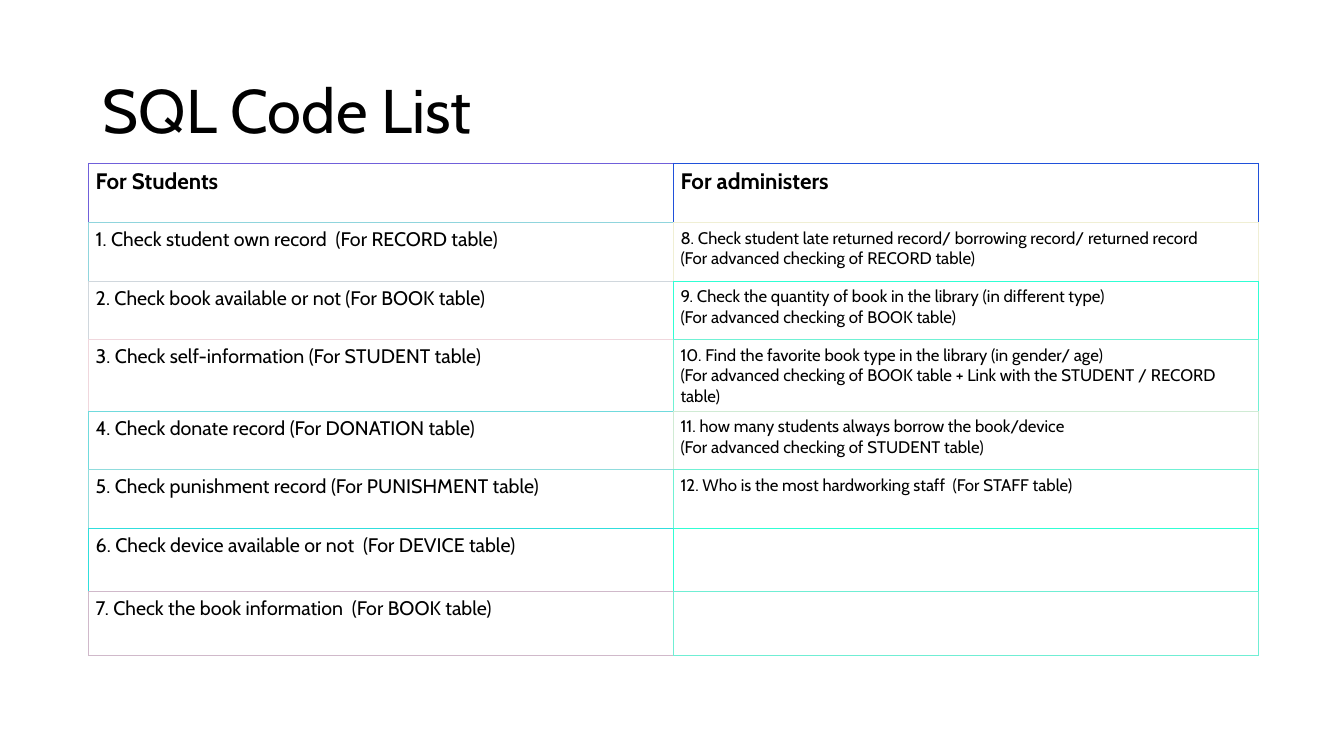
from dataclasses import dataclass

from lxml.etree import SubElement
from pptx import Presentation
from pptx.dml.color import RGBColor
from pptx.enum.text import MSO_ANCHOR, MSO_AUTO_SIZE, PP_ALIGN
from pptx.oxml.ns import qn
from pptx.table import _Cell as Cell
from pptx.text.text import _Paragraph as Paragraph
from pptx.util import Inches, Pt

FONT = "Cabin"
BLACK = "000000"
COLUMN_WIDTH = 5.8
ROW_HEIGHTS = [0.59] + [0.58] * 5 + [0.63] * 2
BORDER_WIDTH = Pt(0.75)


@dataclass(frozen=True)
class Entry:
    """A table cell: its lines of text and the colour of its borders."""
    border: str
    lines: tuple[str, ...] = ()
    size: int = 14
    bold: bool = False


STUDENTS = [
    Entry("7060DA", ("For Students",), 16, True),
    Entry("90D5DD", ("1. Check student own record  (For RECORD table)",)),
    Entry("D0D7DD", ("2. Check book available or not (For BOOK table)",)),
    Entry("F0D7DD", ("3. Check self-information (For STUDENT table)",)),
    Entry("70DADD", ("4. Check donate record (For DONATION table)",)),
    Entry("90DCDD", ("5. Check punishment record (For PUNISHMENT table)",)),
    Entry("30DEDD", ("6. Check device available or not  (For DEVICE table)",)),
    Entry("D0B9CA", ("7. Check the book information  (For BOOK table)",)),
]
ADMINISTERS = [
    Entry("2051DA", ("For administers",), 16, True),
    Entry("F0EFD4", (
        "8. Check student late returned record/ borrowing record/ returned record",
        "(For advanced checking of RECORD table)"), 12),
    Entry("30FED4", (
        "9. Check the quantity of book in the library (in different type)",
        "(For advanced checking of BOOK table)"), 12),
    Entry("70F1D4", (
        "10. Find the favorite book type in the library (in gender/ age)",
        "(For advanced checking of BOOK table + Link with the STUDENT / RECORD table)"), 12),
    Entry("D0EBD4", (
        "11. how many students always borrow the book/device",
        "(For advanced checking of STUDENT table)"), 12),
    Entry("70F1D4", ("12. Who is the most hardworking staff  (For STAFF table)",), 12),
    Entry("30FED4"),
    Entry("70EED4"),
]


def color(code: str) -> RGBColor:
    return RGBColor.from_string(code)


def add_run(paragraph: Paragraph, text: str, size: int, bold: bool = False) -> None:
    run = paragraph.add_run()
    run.text = text
    run.font.name = FONT
    run.font.size = Pt(size)
    run.font.bold = bold
    run.font.color.rgb = color(BLACK)


def set_borders(cell: Cell, own: str, right: str, below: str) -> None:
    """Colour the left and top edges alike, the others to suit the neighbours."""
    properties = cell._tc.get_or_add_tcPr()
    edges = {"a:lnL": own, "a:lnR": right, "a:lnT": own, "a:lnB": below}
    for position, (tag, code) in enumerate(edges.items()):
        line = SubElement(properties, qn(tag), w=str(BORDER_WIDTH))
        SubElement(SubElement(line, qn("a:solidFill")), qn("a:srgbClr"), val=code)
        properties.insert(position, line)


def fill_cell(cell: Cell, entry: Entry) -> None:
    cell.fill.background()
    cell.margin_left = cell.margin_right = Inches(0.07)
    cell.margin_top = cell.margin_bottom = Inches(0.05)
    frame = cell.text_frame
    for index, line in enumerate(entry.lines):
        paragraph = frame.add_paragraph() if index else frame.paragraphs[0]
        add_run(paragraph, line, entry.size, entry.bold)


def main() -> None:
    deck = Presentation()
    deck.slide_width, deck.slide_height = Inches(13.33), Inches(7.5)
    slide = deck.slides.add_slide(deck.slide_layouts[5])

    heading = slide.shapes.title
    heading.left, heading.top = Inches(0.92), Inches(0.4)
    heading.width, heading.height = Inches(11.5), Inches(1.45)
    heading.text_frame.vertical_anchor = MSO_ANCHOR.MIDDLE
    heading.text_frame.auto_size = MSO_AUTO_SIZE.NONE
    heading_line = heading.text_frame.paragraphs[0]
    heading_line.alignment = PP_ALIGN.LEFT
    heading_line.line_spacing = 0.9
    add_run(heading_line, "SQL Code List", 44)

    entries = list(zip(STUDENTS, ADMINISTERS))
    code_list = slide.shapes.add_table(
        len(entries), 2, Inches(0.88), Inches(1.62),
        Inches(2 * COLUMN_WIDTH), Inches(sum(ROW_HEIGHTS))).table
    code_list.first_row = code_list.horz_banding = False
    for column in code_list.columns:
        column.width = Inches(COLUMN_WIDTH)
    for row, height in zip(code_list.rows, ROW_HEIGHTS):
        row.height = Inches(height)

    for r, pair in enumerate(entries):
        next_pair = entries[min(r + 1, len(entries) - 1)]
        for c, entry in enumerate(pair):
            cell = code_list.cell(r, c)
            fill_cell(cell, entry)
            set_borders(cell, entry.border, pair[-1].border, next_pair[c].border)

    deck.save("out.pptx")


if __name__ == "__main__":
    main()
